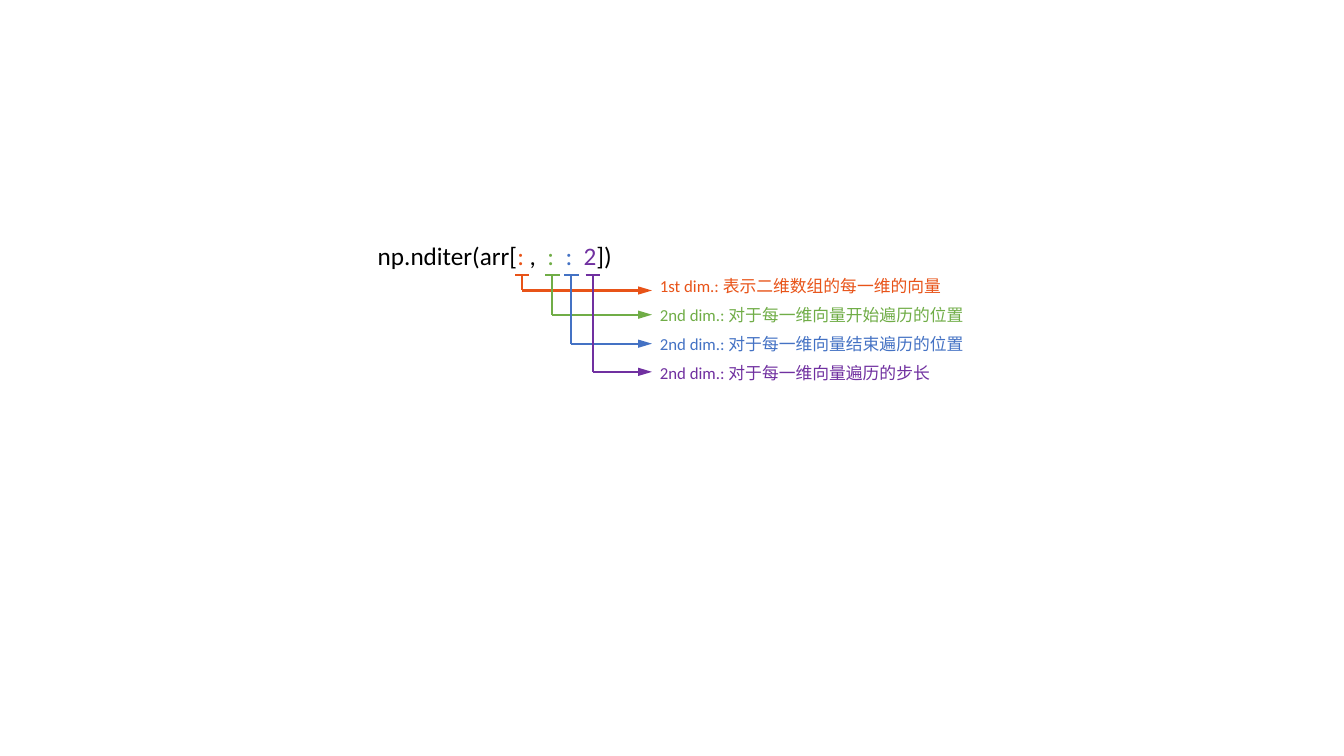
from lxml import etree
from pptx import Presentation
from pptx.dml.color import RGBColor
from pptx.enum import shapes, text
from pptx.oxml import ns
from pptx.util import Cm, Pt

COLOURS = {"plain": "000000", "vector": "E85318", "start": "70AD47",
           "stop": "4472C4", "step": "7030A0"}
EXPRESSION = [("np.nditer(arr[", "plain"), (":", "vector"), (" ,  ", "plain"),
              (":  ", "start"), (":  ", "stop"), ("2", "step"), ("])", "plain")]
CALLOUTS = [("vector", 3.89, 1.4, "1st dim.: 表示二维数组的每一维的向量"),
            ("start", 4.65, 2.01, "2nd dim.: 对于每一维向量开始遍历的位置"),
            ("stop", 5.13, 2.74, "2nd dim.: 对于每一维向量结束遍历的位置"),
            ("step", 5.67, 3.45, "2nd dim.: 对于每一维向量遍历的步长")]
TICK_Y, TICK_HALF = 1.02, 0.18
ARROW_END, LABEL_LEFT = 7.16, 7.11
LABEL_TOP, LABEL_PITCH = 0.91, 0.73


def rgb(role):
    """Return the colour of a role."""
    return RGBColor.from_string(COLOURS[role])


def add_text(slide, left, top, width, height, pieces, size):
    """Add one line of text made of coloured pieces."""
    caption = slide.shapes.add_textbox(Cm(left), Cm(top), Cm(width), Cm(height))
    frame = caption.text_frame
    frame.word_wrap = True
    frame.auto_size = text.MSO_AUTO_SIZE.SHAPE_TO_FIT_TEXT
    paragraph = frame.paragraphs[0]
    paragraph.font.name = "Calibri"
    paragraph.font.size = Pt(size)
    for wording, role in pieces:
        run = paragraph.add_run()
        run.text = wording
        run.font.color.rgb = rgb(role)


def add_line(slide, start, end, role, arrow=False):
    """Draw a coloured line, with an arrowhead at its end if asked."""
    line = slide.shapes.add_connector(shapes.MSO_CONNECTOR.STRAIGHT,
                                      *map(Cm, start + end))
    line.line.color.rgb = rgb(role)
    line.line.width = Pt(1.5)
    if arrow:
        etree.SubElement(line.line._get_or_add_ln(), ns.qn("a:tailEnd"),
                         type="triangle", w="med", len="lg")
    etree.SubElement(line._element.spPr, ns.qn("a:effectLst"))


def add_callout(slide, left, top, index, callout):
    """Mark one part of the expression and lead an arrow to its label."""
    role, stem, drop, wording = callout
    x, tick, arrow = left + stem, top + TICK_Y, top + drop
    add_line(slide, (x - TICK_HALF, tick), (x + TICK_HALF, tick), role)
    add_line(slide, (x, tick), (x, arrow), role)
    add_line(slide, (x, arrow), (left + ARROW_END, arrow), role, arrow=True)
    add_text(slide, left + LABEL_LEFT, top + LABEL_TOP + index * LABEL_PITCH,
             8.61, 0.77, [(wording, role)], 12)


def add_diagram(slide, left, top, width):
    """Place the expression and its four callouts."""
    add_text(slide, left, top, width, 1.03, EXPRESSION, 18)
    for index, callout in enumerate(CALLOUTS):
        add_callout(slide, left, top, index, callout)


def main():
    """Build and save the slide."""
    deck = Presentation()
    deck.slide_width, deck.slide_height = Cm(33.87), Cm(19.05)
    slide = deck.slides.add_slide(deck.slide_layouts[6])
    add_diagram(slide, 9.27, 5.92, 8.76)
    deck.save("out.pptx")


if __name__ == "__main__":
    main()
